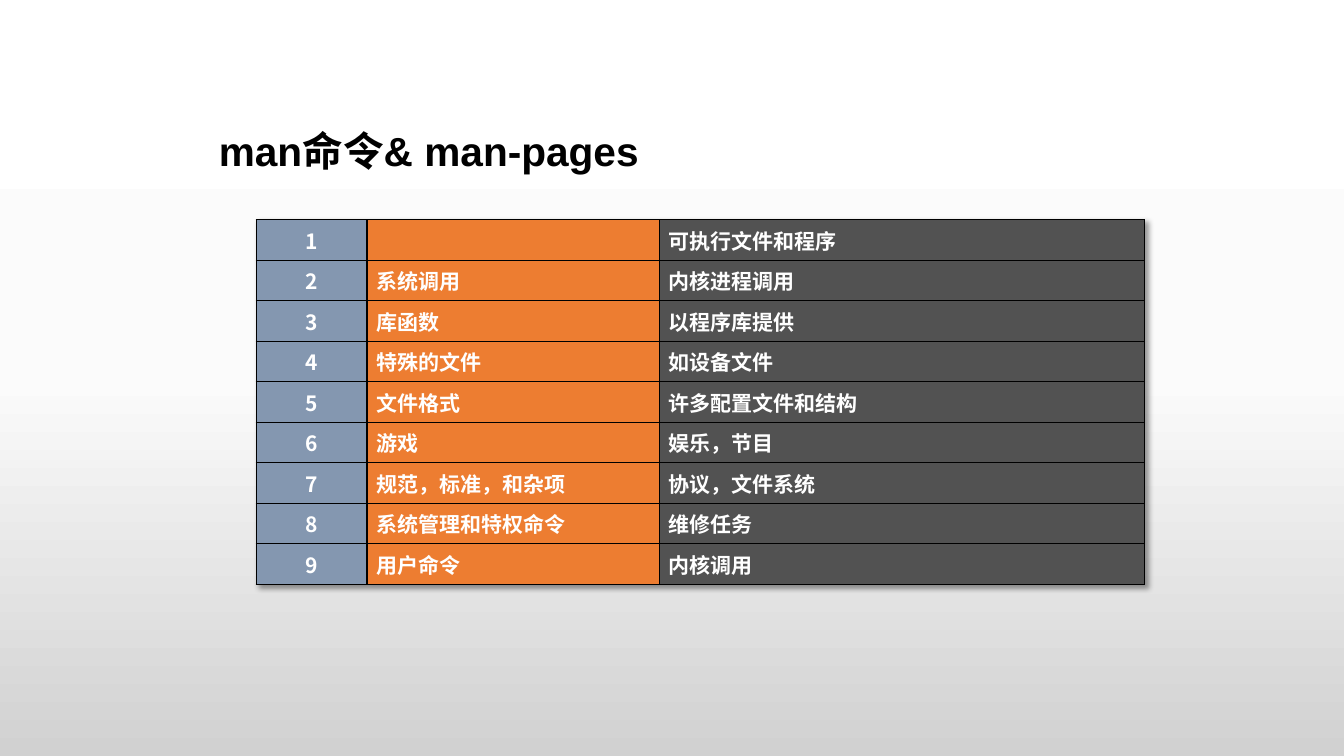
from copy import deepcopy

from lxml import etree
from pptx import Presentation
from pptx.dml.color import RGBColor
from pptx.enum.text import MSO_ANCHOR, PP_ALIGN
from pptx.oxml import parse_xml
from pptx.oxml.ns import nsdecls, qn
from pptx.util import Inches, Pt

MIDDLE = MSO_ANCHOR.MIDDLE
LEFT, CENTER = PP_ALIGN.LEFT, PP_ALIGN.CENTER

TITLE = "man命令& man-pages"
TITLE_BOX = (2.17, 0.97, 9, 1.04)
TABLE_BOX = (2.54, 2.18, 8.81, 3.54)
BACKGROUND = [(0, "FFFFFF"), (0.5, "FBFBFB"), (1, "D1D1D1")]
COLUMNS = [(1.1, "8497B0", CENTER), (2.9, "ED7D31", LEFT), (4.81, "525252", LEFT)]
TITLE_FONT = {"name": "Arial", "size": Pt(29), "bold": True}
CELL_FONT = {"name": "Noto Sans CJK SC", "size": Pt(15), "bold": True}
SECTIONS = [
    ("", "可执行文件和程序"),
    ("系统调用", "内核进程调用"),
    ("库函数", "以程序库提供"),
    ("特殊的文件", "如设备文件"),
    ("文件格式", "许多配置文件和结构"),
    ("游戏", "娱乐，节目"),
    ("规范，标准，和杂项", "协议，文件系统"),
    ("系统管理和特权命令", "维修任务"),
    ("用户命令", "内核调用"),
]
TABLE_SHADOW = (
    f'<a:effectLst {nsdecls("a")}><a:outerShdw blurRad="50800" dist="38100" '
    'dir="2700000" algn="tl" rotWithShape="0"><a:srgbClr val="000000">'
    '<a:alpha val="40000"/></a:srgbClr></a:outerShdw></a:effectLst>'
)


def rgb(value):
    """Return the colour for a hex string."""
    return RGBColor.from_string(value)


def set_attrs(obj, values):
    """Set each attribute of obj from a dict."""
    for name, value in values.items():
        setattr(obj, name, value)


def write(p, text, font, color, align):
    """Write one formatted run, or size the paragraph when it is empty."""
    p.alignment = align
    if not text:
        end = p._p.get_or_add_endParaRPr()
        end.set("sz", str(int(font["size"].pt * 100)))
        return
    r = p.add_run()
    r.text = text
    set_attrs(r.font, font)
    r.font.color.rgb = rgb(color)
    if font is CELL_FONT:
        ea = etree.SubElement(r.font._element, qn("a:ea"))
        ea.set("typeface", font["name"])


def add_borders(cell):
    """Draw a thin black line on every side of a cell."""
    tcPr = cell._tc.get_or_add_tcPr()
    for i, side in enumerate("LRTB"):
        tcPr.insert(i, parse_xml(
            f'<a:ln{side} {nsdecls("a")} w="12700"><a:solidFill>'
            f'<a:srgbClr val="000000"/></a:solidFill></a:ln{side}>'))


def paint_background(s):
    """Fill the slide with a vertical three-stop gradient."""
    fill = s.background.fill
    fill.gradient()
    fill.gradient_angle = 270
    stops = s.element.find(".//" + qn("a:gsLst"))
    stops.insert(1, deepcopy(stops[0]))
    for stop, (position, color) in zip(fill.gradient_stops, BACKGROUND):
        stop.color.rgb = rgb(color)
        stop.position = position


def place_title(s, box):
    """Move the title placeholder into box and write the title."""
    sp = s.shapes.title
    set_attrs(sp, dict(zip(("left", "top", "width", "height"), map(Inches, box))))
    tf = sp.text_frame
    set_attrs(tf, {"margin_left": 0, "margin_right": 0, "margin_top": 0,
                   "margin_bottom": 0, "vertical_anchor": MIDDLE, "word_wrap": True})
    write(tf.paragraphs[0], TITLE, TITLE_FONT, "000000", LEFT)


def add_sections_table(s, box):
    """Place the table of numbered manual sections in box."""
    frame = s.shapes.add_table(len(SECTIONS), len(COLUMNS), *map(Inches, box))
    table = frame.table
    set_attrs(table, {"first_row": False, "horz_banding": False})
    table._tbl.tblPr.insert(0, parse_xml(TABLE_SHADOW))
    for column, (width, _, _) in zip(table.columns, COLUMNS):
        column.width = Inches(width)
    for i, section in enumerate(SECTIONS):
        table.rows[i].height = Inches(box[3] / len(SECTIONS))
        for j, text in enumerate((str(i + 1), *section)):
            _, color, align = COLUMNS[j]
            cell = table.cell(i, j)
            set_attrs(cell, {"margin_left": Inches(0.09), "margin_right": Inches(0.09),
                             "margin_top": Inches(0.05), "margin_bottom": Inches(0.05)})
            cell.fill.solid()
            cell.fill.fore_color.rgb = rgb(color)
            add_borders(cell)
            write(cell.text_frame.paragraphs[0], text, CELL_FONT, "FFFFFF", align)


def main():
    """Build the slide and save it."""
    prs = Presentation()
    prs.slide_width, prs.slide_height = Inches(13.33), Inches(7.5)
    s = prs.slides.add_slide(prs.slide_layouts[5])
    paint_background(s)
    place_title(s, TITLE_BOX)
    add_sections_table(s, TABLE_BOX)
    prs.save("out.pptx")


if __name__ == "__main__":
    main()
